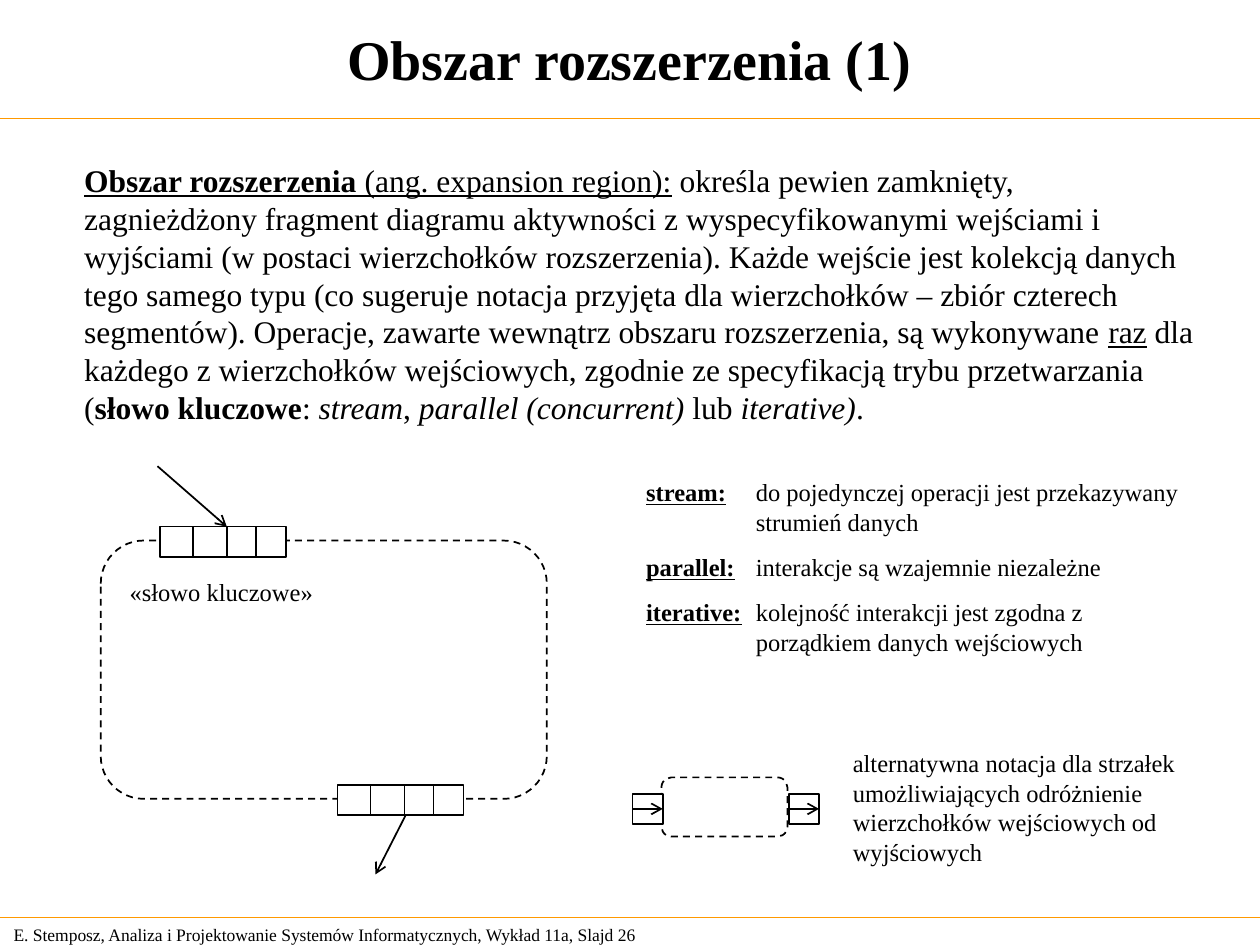
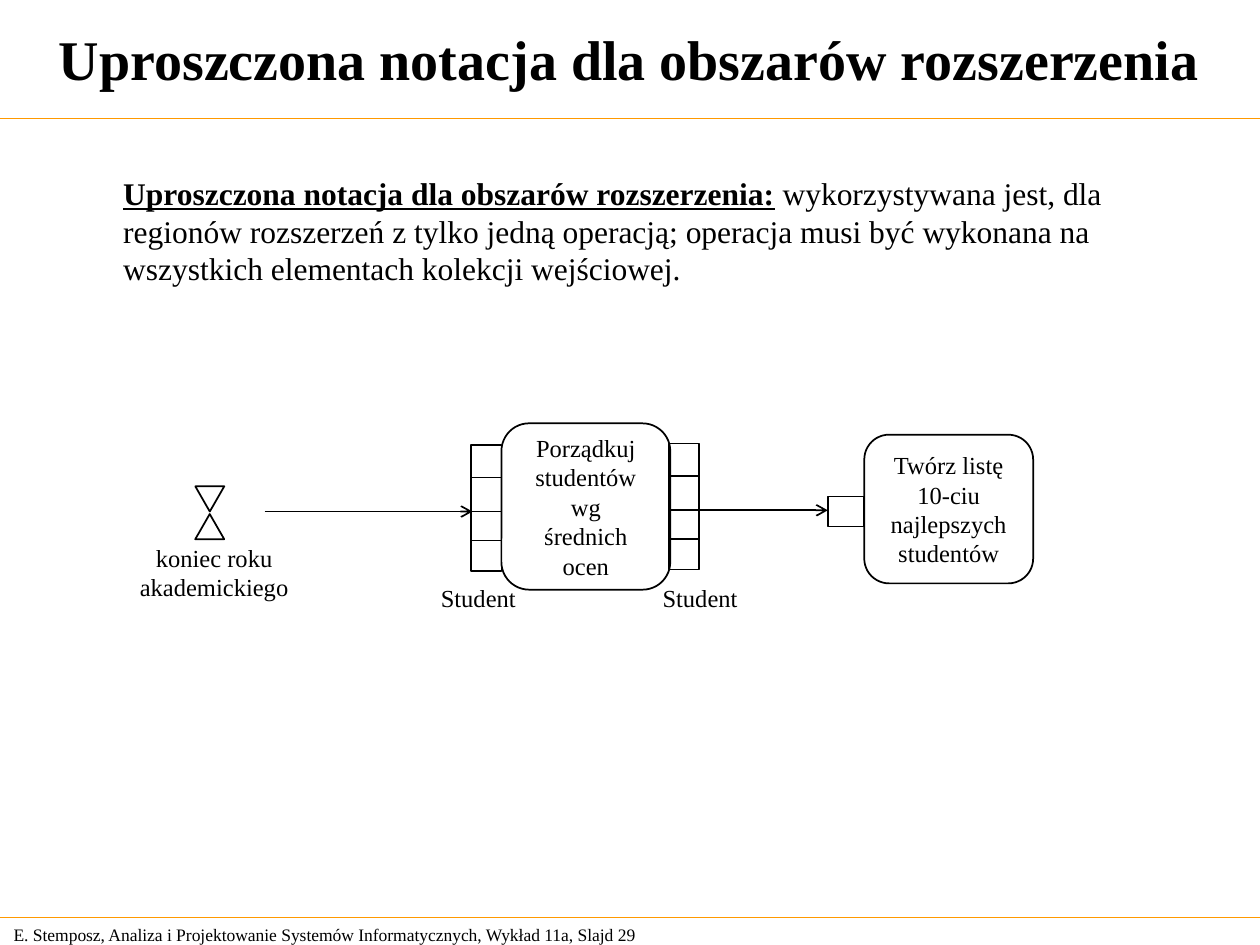
from lxml import etree
from pptx import Presentation
from pptx.enum import dml, shapes, text
from pptx.dml.color import RGBColor
from pptx.oxml.ns import qn
from pptx.util import Inches, Pt

COLORS = {"ink": "000000", "paper": "FFFFFF", "rule": "FF9900"}
FONT = "Times New Roman"
LEFT, CENTER = text.PP_ALIGN.LEFT, text.PP_ALIGN.CENTER
TOP, MIDDLE = text.MSO_ANCHOR.TOP, text.MSO_ANCHOR.MIDDLE
BOX, ROUNDED = shapes.MSO_SHAPE.RECTANGLE, shapes.MSO_SHAPE.ROUNDED_RECTANGLE
TRIANGLE = shapes.MSO_SHAPE.ISOSCELES_TRIANGLE
SEGMENT_CUTS = (0.26, 0.53, 0.76)
NODE = 0.24


def rgb(name):
    return RGBColor.from_string(COLORS[name])


def inches(*lengths):
    return [Inches(length) for length in lengths]


def write(tf, paragraphs, size, align=LEFT, anchor=TOP, wrap=True,
          bold=None, hanging=0, space_before=0):
    """Fill a frame; a paragraph is a string or a list of (text, style) with
    style letters b, i, u. A newline in a text breaks the line."""
    tf.auto_size = text.MSO_AUTO_SIZE.NONE
    tf.word_wrap = wrap
    tf.vertical_anchor = anchor
    for i, runs in enumerate(paragraphs):
        p = tf.paragraphs[0] if i == 0 else tf.add_paragraph()
        p.alignment = align
        if hanging:
            pPr = p._p.get_or_add_pPr()
            pPr.set("marL", str(Inches(hanging)))
            pPr.set("indent", str(-Inches(hanging)))
        if i and space_before:
            p.space_before = Pt(space_before)
        p.font.name, p.font.size, p.font.bold = FONT, Pt(size), bold
        p.font.color.rgb = rgb("ink")
        for content, style in [(runs, "")] if isinstance(runs, str) else runs:
            for n, piece in enumerate(content.split("\n")):
                if n:
                    p.add_line_break()
                r = p.add_run()
                r.text = piece
                if "b" in style:
                    r.font.bold = True
                if "i" in style:
                    r.font.italic = True
                if "u" in style:
                    r.font.underline = True


def add_text(slide, x, y, w, h, paragraphs, size=14, **options):
    sp = slide.shapes.add_textbox(*inches(x, y, w, h))
    write(sp.text_frame, paragraphs, size, **options)


def add_line(slide, x1, y1, x2, y2, color="ink", width=1, arrow=False):
    line = slide.shapes.add_connector(
        shapes.MSO_CONNECTOR.STRAIGHT, *inches(x1, y1, x2, y2))
    line.line.color.rgb = rgb(color)
    line.line.width = Pt(width)
    if arrow:
        etree.SubElement(line.line._get_or_add_ln(), qn("a:tailEnd"), type="arrow")
    etree.SubElement(line._element.spPr, qn("a:effectLst"))


def add_outline(slide, kind, x, y, w, h, filled=False, dashed=False):
    sp = slide.shapes.add_shape(kind, *inches(x, y, w, h))
    sp.shadow.inherit = False
    if filled:
        sp.fill.solid()
        sp.fill.fore_color.rgb = rgb("paper")
    else:
        sp.fill.background()
    sp.line.color.rgb = rgb("ink")
    sp.line.width = Pt(1)
    if dashed:
        sp.line.dash_style = dml.MSO_LINE.DASH
    return sp


def add_expansion_node(slide, x, y, vertical=False):
    """Draw a one inch strip cut into four segments."""
    w, h = (NODE, 1) if vertical else (1, NODE)
    add_outline(slide, BOX, x, y, w, h, filled=True)
    for cut in SEGMENT_CUTS:
        if vertical:
            add_line(slide, x, y + cut, x + w, y + cut)
        else:
            add_line(slide, x + cut, y, x + cut, y + h)


def add_arrow_node(slide, x, y):
    add_outline(slide, BOX, x, y, NODE, NODE, filled=True)
    add_line(slide, x, y + NODE / 2, x + NODE, y + NODE / 2, arrow=True)


def add_action(slide, x, y, w, h, lines):
    sp = add_outline(slide, ROUNDED, x, y, w, h)
    write(sp.text_frame, lines, 14, align=CENTER, anchor=MIDDLE, wrap=False)


def add_hourglass(slide, x, y):
    w, h = 0.23, 0.2
    add_outline(slide, TRIANGLE, x, y, w, h).rotation = 180
    add_outline(slide, TRIANGLE, x, y + 0.22, w, h)


def add_lecture_slide(prs, title, number):
    slide = prs.slides.add_slide(prs.slide_layouts.get_by_name("Title Only"))
    for y in (0.94, 7.28):
        add_line(slide, 0, y, 10, y, color="rule", width=0.75)
    footer = ("E. Stemposz, Analiza i Projektowanie Systemów Informatycznych, "
              f"Wykład 11a, Slajd {number}")
    add_text(slide, 0.01, 7.28, 5.24, 0.27, [footer], size=10, anchor=MIDDLE)
    head = slide.shapes.title
    head.left, head.top, head.width, head.height = inches(0, 0, 9.99, 0.92)
    write(head.text_frame, [title], 32, align=CENTER, anchor=MIDDLE, bold=True)
    return slide


def build_expansion_region(prs):
    slide = add_lecture_slide(prs, "Obszar rozszerzenia (1)", 26)
    add_text(slide, 0.57, 1.23, 9, 2.2, [[
        ("Obszar rozszerzenia ", "bu"),
        ("(ang. expansion region):", "u"),
        (" określa pewien zamknięty, zagnieżdżony fragment diagramu aktywności "
         "z wyspecyfikowanymi wejściami i wyjściami (w postaci wierzchołków "
         "rozszerzenia). Każde wejście jest kolekcją danych tego samego typu "
         "(co sugeruje notacja przyjęta dla wierzchołków – zbiór czterech "
         "segmentów). Operacje, zawarte wewnątrz obszaru rozszerzenia, są "
         "wykonywane ", ""),
        ("raz", "u"),
        (" dla każdego z wierzchołków wejściowych, zgodnie ze specyfikacją "
         "trybu przetwarzania (", ""),
        ("słowo kluczowe", "b"), (": ", ""),
        ("stream", "i"), (", ", ""),
        ("parallel (concurrent)", "i"), (" lub ", ""),
        ("iterative)", "i"), (".", ""),
    ]], size=18)

    add_outline(slide, ROUNDED, 0.8, 4.29, 3.54, 2.05, dashed=True)
    add_expansion_node(slide, 1.27, 4.18)
    add_expansion_node(slide, 2.68, 6.23)
    add_line(slide, 1.25, 3.7, 1.8, 4.18, arrow=True)
    add_line(slide, 3.22, 6.47, 2.98, 6.94, arrow=True)
    add_text(slide, 0.93, 4.53, 1.65, 0.34, ["«słowo kluczowe»"], wrap=False)

    modes = {
        "stream:": "do pojedynczej operacji jest przekazywany\nstrumień danych",
        "parallel:": "interakcje są wzajemnie niezależne",
        "iterative:": "kolejność interakcji jest zgodna z\n"
                      "porządkiem danych wejściowych",
    }
    add_text(slide, 5.03, 3.74, 4.54, 1.54,
             [[(mode, "bu"), ("\t" + meaning, "")] for mode, meaning in modes.items()],
             hanging=0.87, space_before=9)

    add_text(slide, 6.67, 5.89, 3.07, 1.04, [
        "alternatywna notacja dla strzałek umożliwiających odróżnienie "
        "wierzchołków wejściowych od wyjściowych"])
    add_outline(slide, ROUNDED, 5.25, 6.17, 1, 0.47, dashed=True)
    for x in (5.02, 6.26):
        add_arrow_node(slide, x, 6.3)


def build_simplified_notation(prs):
    title = "Uproszczona notacja dla obszarów rozszerzenia"
    slide = add_lecture_slide(prs, title, 29)
    add_text(slide, 0.88, 1.33, 8.6, 1, [[
        (title + ":", "bu"),
        (" wykorzystywana jest, dla regionów rozszerzeń z tylko jedną operacją; "
         "operacja musi być wykonana na wszystkich elementach kolekcji "
         "wejściowej.", ""),
    ]], size=18)

    add_hourglass(slide, 1.55, 3.86)
    add_text(slide, 1.01, 4.26, 1.38, 0.57, ["koniec roku", "akademickiego"],
             align=CENTER, wrap=False)

    add_expansion_node(slide, 3.74, 3.53, vertical=True)
    add_expansion_node(slide, 5.31, 3.52, vertical=True)
    add_action(slide, 3.98, 3.36, 1.34, 1.32,
               ["Porządkuj", "studentów", "wg", "średnich", "ocen"])
    for x in (3.4, 5.16):
        add_text(slide, x, 4.58, 0.79, 0.34, ["Student"], wrap=False)

    add_line(slide, 2.1, 4.06, 3.75, 4.06, arrow=True)
    add_line(slide, 5.55, 4.05, 6.57, 4.05, arrow=True)
    add_action(slide, 6.86, 3.45, 1.34, 1.18,
               ["Twórz listę", "10-ciu", "najlepszych", "studentów"])
    add_outline(slide, BOX, 6.57, 3.94, 0.29, NODE)


def main():
    prs = Presentation()
    prs.slide_width, prs.slide_height = inches(10, 7.5)
    build_expansion_region(prs)
    build_simplified_notation(prs)
    prs.save("out.pptx")


if __name__ == "__main__":
    main()
